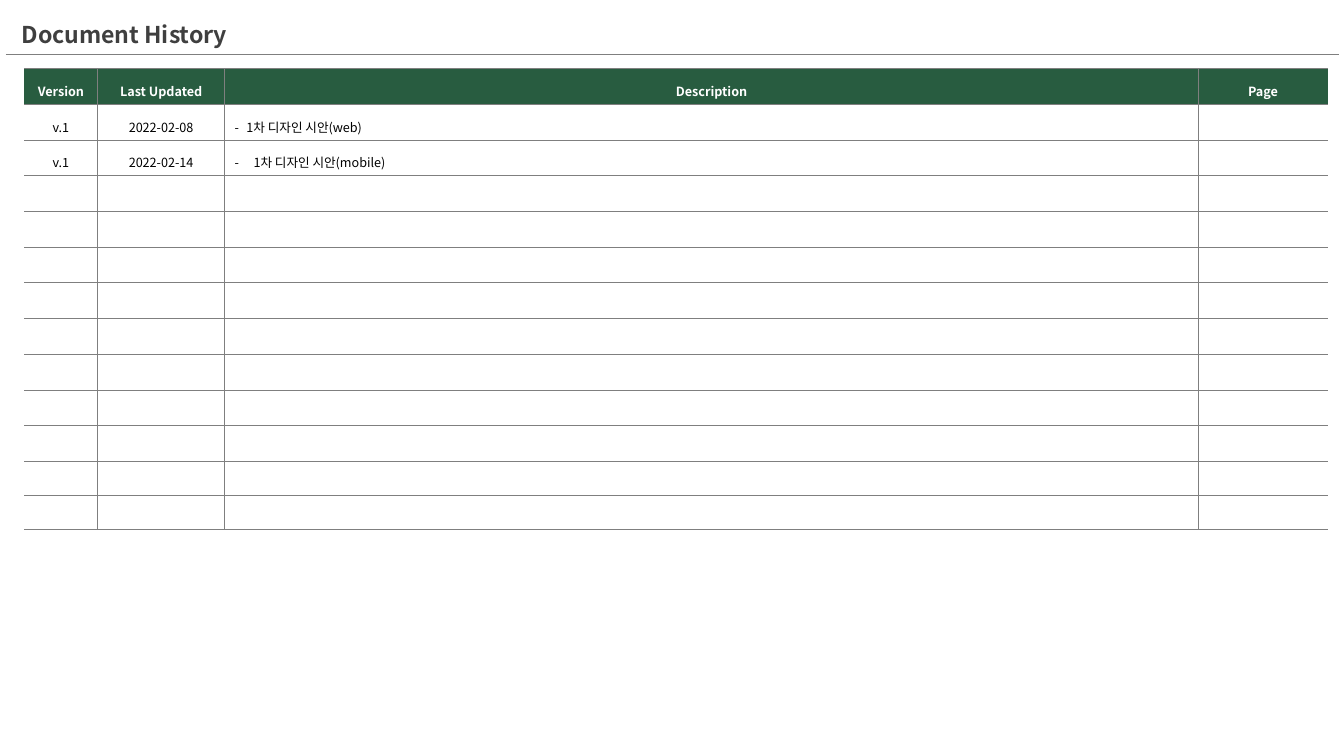
from lxml.etree import SubElement
from pptx import Presentation
from pptx.dml.color import RGBColor
from pptx.enum.shapes import MSO_CONNECTOR
from pptx.enum.text import MSO_ANCHOR, PP_ALIGN
from pptx.oxml.ns import qn
from pptx.util import Cm, Pt

FONT = "Noto Sans CJK KR"
GREEN, GRAY, DARK = "285C40", "7F7F7F", "3F3F3F"
WHITE, BLACK = "FFFFFF", "000000"

COLUMN_WIDTHS = [1.85, 3.2, 24.54, 3.26]
ROW_HEIGHTS = [0.9] * 11 + [0.86] * 2
HISTORY = [
    ["Version", "Last Updated", "Description", "Page"],
    ["v.1", "2022-02-08", "1차 디자인 시안(web)", ""],
    ["v.1", "2022-02-14", "1차 디자인 시안(mobile)", ""],
]
DESCRIPTION = 2
DASH_INDENTS = {1: 0.3, 2: 0.48}


def rgb(value):
    return RGBColor.from_string(value)


def style_runs(p, size, color, bold):
    for r in p.runs:
        r.font.name = FONT
        r.font.size = Pt(size)
        r.font.bold = bold
        r.font.color.rgb = rgb(color)
        SubElement(r.font._element, qn("a:ea"), typeface=FONT)


def add_dash(p, indent):
    pPr = p._p.get_or_add_pPr()
    pPr.set("marL", str(Cm(indent)))
    pPr.set("indent", str(-Cm(indent)))
    SubElement(pPr, qn("a:buFont"), typeface=FONT)
    SubElement(pPr, qn("a:buChar"), char="-")


def set_borders(cell, outer_sides):
    tcPr = cell._tc.get_or_add_tcPr()
    for side in "LRTB":
        ln = SubElement(tcPr, qn(f"a:ln{side}"), w=str(Pt(0.75)))
        if side in outer_sides:
            SubElement(ln, qn("a:noFill"))
        else:
            fill = SubElement(ln, qn("a:solidFill"))
            SubElement(fill, qn("a:srgbClr"), val=GRAY)


def add_header(slide, left, top, width):
    box = slide.shapes.add_textbox(Cm(left + 0.15), Cm(top), Cm(20.4), Cm(0.76))
    tf = box.text_frame
    tf.word_wrap = True
    p = tf.paragraphs[0]
    p.text = "Document History"
    p.line_spacing = 0.7
    style_runs(p, 16.5, DARK, True)

    y = Cm(top + 0.79)
    rule = slide.shapes.add_connector(
        MSO_CONNECTOR.STRAIGHT, Cm(left), y, Cm(left + width), y)
    rule.line.color.rgb = rgb(GRAY)
    rule.line.width = Pt(1)
    SubElement(rule._element.spPr, qn("a:effectLst"))


def fill_cell(cell, text, row, col):
    is_header = row == 0
    last_col = len(COLUMN_WIDTHS) - 1
    set_borders(cell, {0: "L", last_col: "R"}.get(col, ""))
    cell.fill.solid()
    cell.fill.fore_color.rgb = rgb(GREEN if is_header else WHITE)
    cell.vertical_anchor = MSO_ANCHOR.MIDDLE
    cell.margin_left = cell.margin_right = Cm(0.25)
    cell.margin_top = cell.margin_bottom = Cm(0.1)

    p = cell.text_frame.paragraphs[0]
    if not text:
        SubElement(p._p, qn("a:endParaRPr"), sz="900")
        return
    p.text = text
    p.line_spacing = 1.5
    if col == DESCRIPTION and not is_header:
        add_dash(p, DASH_INDENTS[row])
    else:
        p.alignment = PP_ALIGN.CENTER
    style_runs(p, 9, WHITE if is_header else BLACK, is_header)


def add_history_table(slide, left, top):
    frame = slide.shapes.add_table(
        len(ROW_HEIGHTS), len(COLUMN_WIDTHS), Cm(left), Cm(top),
        Cm(sum(COLUMN_WIDTHS)), Cm(sum(ROW_HEIGHTS)))
    table = frame.table
    table.horz_banding = False
    for column, width in zip(table.columns, COLUMN_WIDTHS):
        column.width = Cm(width)
    for i, height in enumerate(ROW_HEIGHTS):
        table.rows[i].height = Cm(height)
        texts = HISTORY[i] if i < len(HISTORY) else [""] * len(COLUMN_WIDTHS)
        for j, text in enumerate(texts):
            fill_cell(table.cell(i, j), text, i, j)


def main():
    prs = Presentation()
    prs.slide_width, prs.slide_height = Cm(33.87), Cm(19.05)
    slide = prs.slides.add_slide(prs.slide_layouts[6])
    add_header(slide, 0.15, 0.58, 33.6)
    add_history_table(slide, 0.61, 1.73)
    prs.save("out.pptx")


if __name__ == "__main__":
    main()
